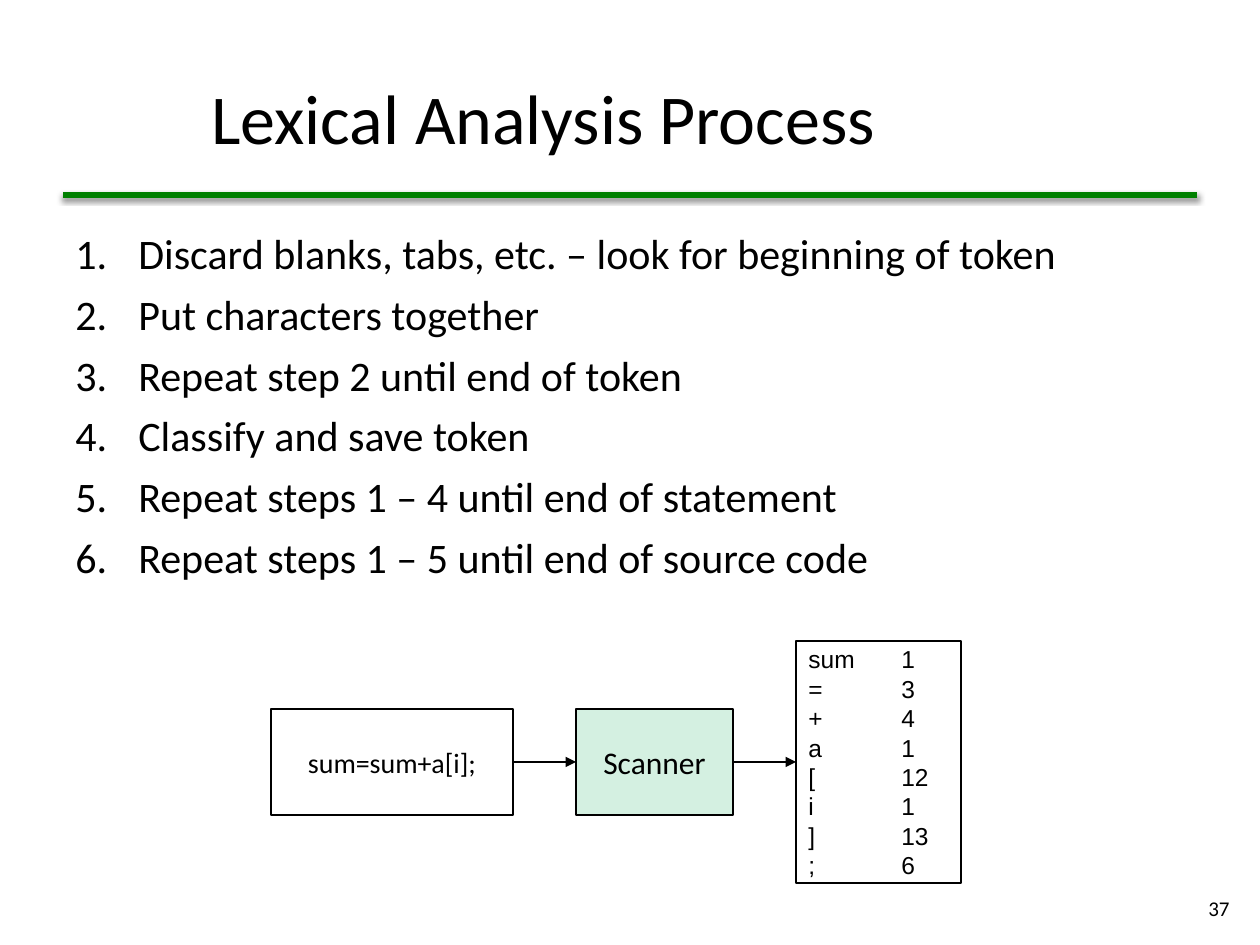
from lxml.etree import SubElement
from pptx import Presentation
from pptx.dml.color import RGBColor
from pptx.enum.shapes import MSO_CONNECTOR, MSO_SHAPE
from pptx.enum.text import MSO_ANCHOR, PP_ALIGN
from pptx.oxml.ns import qn
from pptx.util import Emu, Pt

SCALE = 914400 / 126
COLORS = {"ink": "000000", "rule": "008000", "mint": "D4F0E1", "paper": "FFFFFF"}
STEPS = [
    "Discard blanks, tabs, etc. – look for beginning of token",
    "Put characters together",
    "Repeat step 2 until end of token",
    "Classify and save token",
    "Repeat steps 1 – 4 until end of statement",
    "Repeat steps 1 – 5 until end of source code",
]
TOKENS = [("sum", 1), ("=", 3), ("+", 4), ("a", 1),
          ("[", 12), ("i", 1), ("]", 13), (";", 6)]


def px(n):
    return Emu(round(n * SCALE))


def color(name):
    return RGBColor.from_string(COLORS[name])


def add(parent, tag, **attrs):
    return SubElement(parent, qn(tag), {k: str(v) for k, v in attrs.items()})


def number(para):
    props = para._p.get_or_add_pPr()
    props.set("marL", str(px(63)))
    props.set("indent", str(px(-63)))
    add(props, "a:buFont", typeface="+mj-lt")
    add(props, "a:buAutoNum", type="arabicPeriod")
    para.space_after = Pt(6)


def tab(para):
    stops = add(para._p.get_or_add_pPr(), "a:tabLst")
    add(stops, "a:tab", pos=px(93), algn="l")


def write(shape, lines, size, face="Calibri", align=PP_ALIGN.LEFT,
          anchor=MSO_ANCHOR.MIDDLE, style=None):
    frame = shape.text_frame
    frame.word_wrap = True
    frame.vertical_anchor = anchor
    for i, line in enumerate(lines):
        para = frame.paragraphs[0] if i == 0 else frame.add_paragraph()
        para.text = line
        para.alignment = align
        if style:
            style(para)
        para.font.size = Pt(size)
        para.font.name = face
        para.font.color.rgb = color("ink")


def label(slide, area, lines, size, **look):
    write(slide.shapes.add_textbox(*map(px, area)), lines, size, **look)


def box(slide, area, fill, lines, size, **look):
    shape = slide.shapes.add_shape(MSO_SHAPE.RECTANGLE, *map(px, area))
    shape.shadow.inherit = False
    shape.fill.solid()
    shape.fill.fore_color.rgb = color(fill)
    shape.line.color.rgb = color("ink")
    shape.line.width = Pt(0.75)
    write(shape, lines, size, **look)
    return shape


def line(slide, ends, name, width):
    link = slide.shapes.add_connector(MSO_CONNECTOR.STRAIGHT, *map(px, ends))
    link.line.color.rgb = color(name)
    link.line.width = Pt(width)
    return link, add(link._element.spPr, "a:effectLst")


def rule(slide):
    _, effects = line(slide, (63, 195, 1197, 195), "rule", 3)
    shade = add(effects, "a:outerShdw", blurRad=Pt(3.1), dist=Pt(1.6),
                dir=5400000, rotWithShape=0)
    add(add(shade, "a:srgbClr", val=COLORS["ink"]), "a:alpha", val=60000)


def arrow(slide, start, end):
    link, _ = line(slide, (0, 0, 0, 0), "ink", 0.75)
    link.begin_connect(start, 3)
    link.end_connect(end, 1)
    add(link.line._get_or_add_ln(), "a:tailEnd", type="triangle")


def main():
    deck = Presentation()
    deck.slide_width, deck.slide_height = px(1260), px(945)
    slide = deck.slides.add_slide(deck.slide_layouts[6])
    label(slide, (199, 38, 1042, 157), ["Lexical Analysis Process"], 40)
    rule(slide)
    label(slide, (63, 221, 1134, 400), STEPS, 24,
          anchor=MSO_ANCHOR.TOP, style=number)
    source = box(slide, (271, 709, 242, 106), "paper", ["sum=sum+a[i];"], 16,
                 align=PP_ALIGN.CENTER)
    scanner = box(slide, (576, 709, 157, 106), "mint", ["Scanner"], 18,
                  align=PP_ALIGN.CENTER)
    tokens = box(slide, (796, 641, 165, 242), "paper",
                 [f"{word}\t{code}" for word, code in TOKENS], 14,
                 face="Arial", style=tab)
    arrow(slide, source, scanner)
    arrow(slide, scanner, tokens)
    label(slide, (1192, 883, 50, 50), ["37"], 12, align=PP_ALIGN.RIGHT)
    deck.save("out.pptx")


if __name__ == "__main__":
    main()
